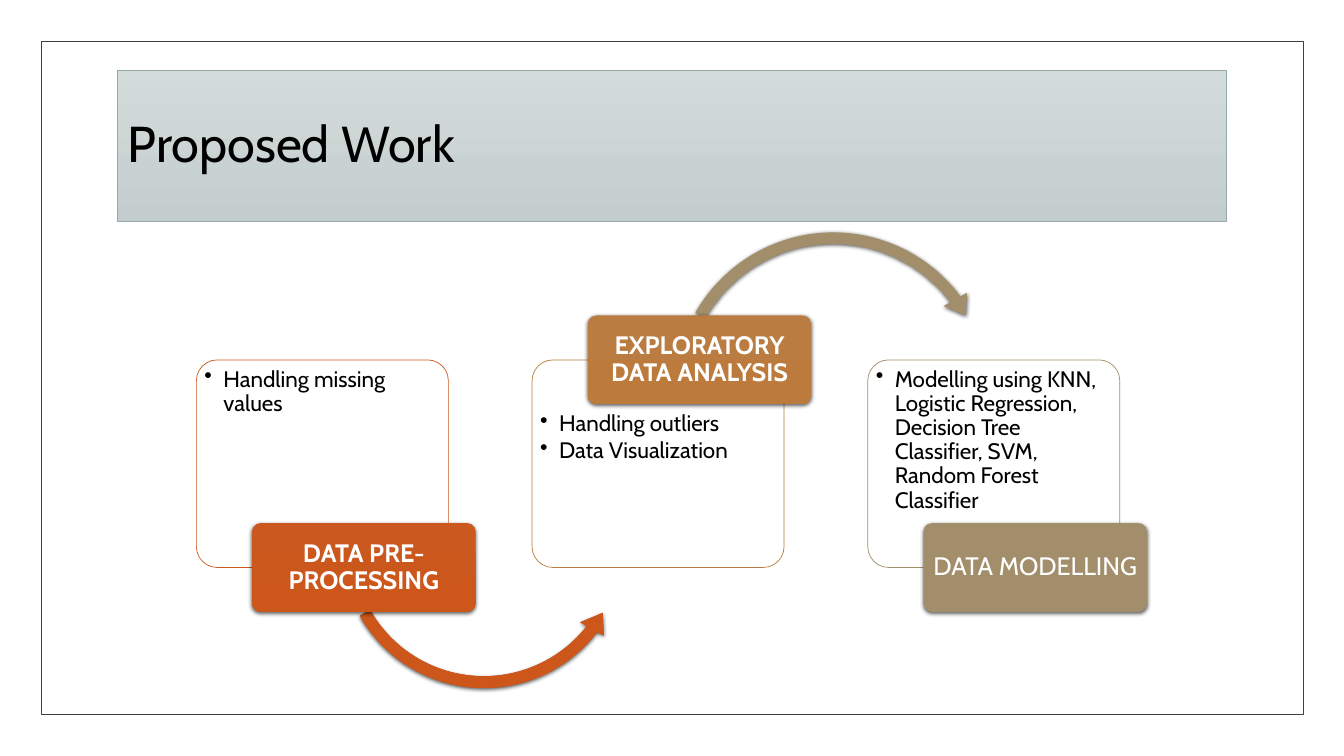
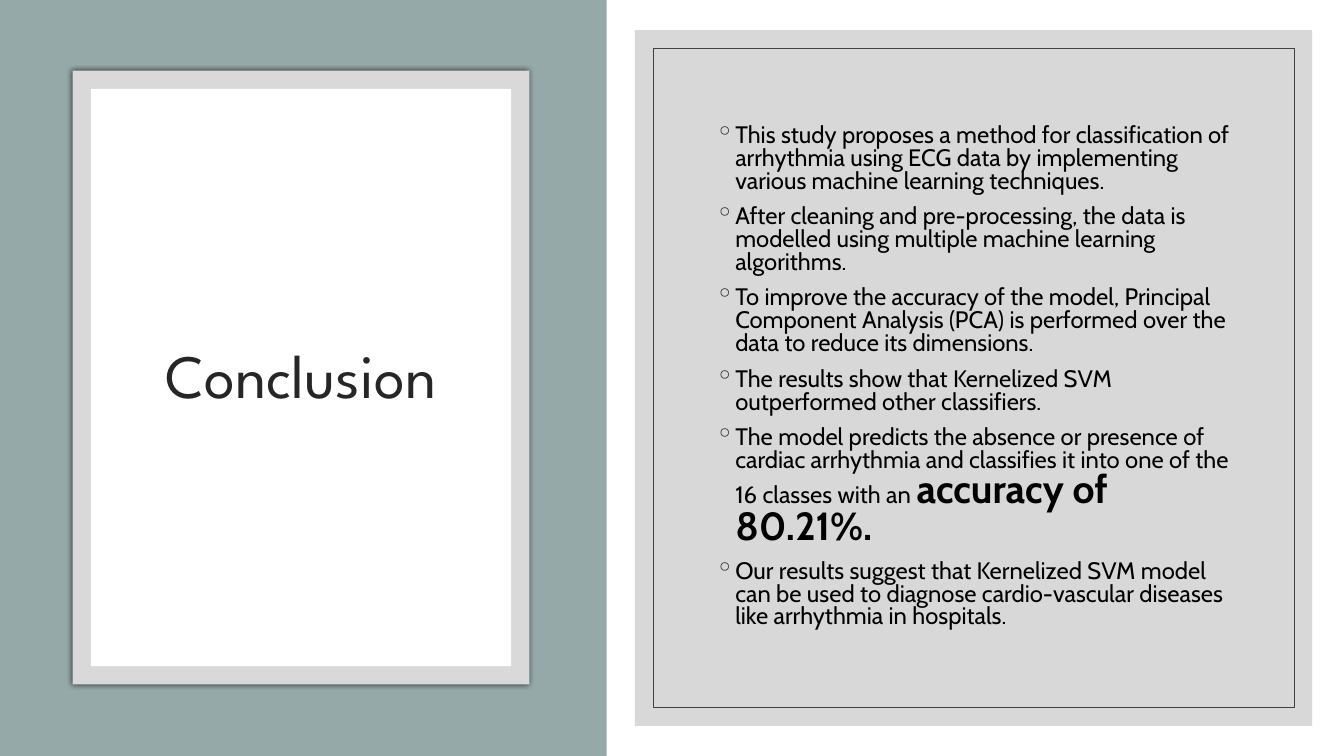
"""Build the Proposed Work process slide and the Conclusion slide."""
from lxml import etree
from pptx import Presentation
from pptx import util as u
from pptx.dml.color import RGBColor
from pptx.enum import shapes, text
from pptx.oxml import ns

BLACK = RGBColor(0x00, 0x00, 0x00)
WHITE = RGBColor(0xFF, 0xFF, 0xFF)
INK = RGBColor(0x26, 0x26, 0x26)
FRAME = RGBColor(0x40, 0x40, 0x40)
SAND = RGBColor(0xD8, 0xD0, 0xC0)
SAGE = RGBColor(0x96, 0xA9, 0xA9)
MIST = (RGBColor(0xD4, 0xDB, 0xDB), RGBColor(0xC3, 0xCD, 0xCD))
PALE = RGBColor(0xD9, 0xD9, 0xD9)
GREY = RGBColor(0xBF, 0xBF, 0xBF)
RUST = (RGBColor(0xCB, 0x58, 0x1F), RGBColor(0xCD, 0x56, 0x1A))
COPPER = (RGBColor(0xBA, 0x7C, 0x41), RGBColor(0xBC, 0x7B, 0x3D))
KHAKI = (RGBColor(0xA2, 0x8E, 0x6A), RGBColor(0xA2, 0x8D, 0x68))

BODY_FONT = "Cabin"
TITLE_FONT = "League Spartan"
WIDTH, HEIGHT = 33.87, 19.05
RECT = shapes.MSO_SHAPE.RECTANGLE
ROUNDED = shapes.MSO_SHAPE.ROUNDED_RECTANGLE
SOFT_SHADOW = dict(blur=3, distance=1)
HALO = dict(blur=4, distance=0)

STEPS = [
    dict(label="DATA PRE-PROCESSING", colors=RUST, on_top=False, bold=True,
         points=["Handling missing values"]),
    dict(label="EXPLORATORY DATA ANALYSIS", colors=COPPER, on_top=True, bold=True,
         points=["Handling outliers", "Data Visualization"]),
    dict(label="DATA MODELLING", colors=KHAKI, on_top=False, bold=False,
         points=["Modelling using KNN, Logistic Regression, Decision Tree "
                 "Classifier, SVM, Random Forest Classifier"]),
]
ARROWS = [
    dict(kind=shapes.MSO_SHAPE.LEFT_CIRCULAR_ARROW, box=(8.41, 9.96, 7.57, 7.57),
         colors=RUST, adjust=(0.039, 4.86, 22.615, 90.245, 0.045)),
    dict(kind=shapes.MSO_SHAPE.CIRCULAR_ARROW, box=(16.81, 5.66, 8.38, 8.38),
         colors=KHAKI, adjust=(0.035, 4.349, 193.896, 125.755, 0.041)),
]
CONCLUSIONS = [
    ["This study proposes a method for classification of arrhythmia using ECG data "
     "by implementing various machine learning techniques."],
    ["After cleaning and pre-processing, the data is modelled using multiple "
     "machine learning algorithms."],
    ["To improve the accuracy of the model, Principal Component Analysis (PCA) is "
     "performed over the data to reduce its dimensions."],
    ["The results show that Kernelized SVM outperformed other classifiers."],
    ["The model predicts the absence or presence of cardiac arrhythmia and "
     "classifies it into one of the 16 classes with an ", "accuracy of 80.21%."],
    ["Our results suggest that Kernelized SVM model can be used to diagnose "
     "cardio-vascular diseases like arrhythmia in hospitals."],
]


def add_element(parent, tag, **attributes):
    return etree.SubElement(parent, ns.qn(tag), {k: str(v) for k, v in attributes.items()})


def add_color(parent, color, opacity=None):
    element = add_element(parent, "a:srgbClr", val=color)
    if opacity is not None:
        add_element(element, "a:alpha", val=opacity * 1000)


def add_panel(slide, box, fill=None, line=None, kind=RECT, adjust=(), opacity=None,
              shadow=None):
    shape = slide.shapes.add_shape(kind, *map(u.Cm, box))
    for index, value in enumerate(adjust):
        shape.adjustments[index] = value
    if fill is None:
        shape.fill.background()
    elif isinstance(fill, RGBColor):
        shape.fill.solid()
        shape.fill.fore_color.rgb = fill
    else:
        shape.fill.gradient()
        shape.fill.gradient_angle = 270
        for stop, color in zip(shape.fill.gradient_stops, fill):
            stop.color.rgb = color
    properties = shape._element.spPr
    if opacity is not None:
        color = properties.find(ns.qn("a:solidFill")).find(ns.qn("a:srgbClr"))
        add_element(color, "a:alpha", val=opacity * 1000)
    if line is None:
        shape.line.fill.background()
    else:
        shape.line.color.rgb = line
        shape.line.width = u.Pt(0.5)
    shape.shadow.inherit = False
    if shadow:
        effects = properties.find(ns.qn("a:effectLst"))
        outer = add_element(effects, "a:outerShdw", blurRad=u.Pt(shadow["blur"]),
                            dist=u.Pt(shadow["distance"]), dir=5400000, rotWithShape=0)
        add_color(outer, BLACK, 65)
    return shape


def add_bullet(paragraph, character, indent, color):
    properties = paragraph._p.get_or_add_pPr()
    properties.set("marL", str(u.Cm(indent)))
    properties.set("indent", str(-u.Cm(indent)))
    add_color(add_element(properties, "a:buClr"), color)
    add_element(properties, "a:buChar", char=character)


def write(shape, paragraphs, size, color=BLACK, font=BODY_FONT, bold=False,
          align=text.PP_ALIGN.LEFT, anchor=text.MSO_ANCHOR.MIDDLE, spacing=0.9,
          before=0, after=0, margins=(0.25, 0.13, 0.25, 0.13), bullet=None,
          indent=0.5, bullet_color=BLACK, emphasis_size=28):
    """Write paragraphs, each a list of runs whose later runs are emphasised."""
    frame = shape.text_frame
    frame.word_wrap = True
    frame.vertical_anchor = anchor
    (frame.margin_left, frame.margin_top,
     frame.margin_right, frame.margin_bottom) = map(u.Cm, margins)
    for index, runs in enumerate(paragraphs):
        paragraph = frame.add_paragraph() if index else frame.paragraphs[0]
        paragraph.alignment = align
        paragraph.line_spacing = spacing
        paragraph.space_before = u.Pt(before)
        paragraph.space_after = u.Pt(after)
        if bullet:
            add_bullet(paragraph, bullet, indent, bullet_color)
        for position, words in enumerate(runs):
            run = paragraph.add_run()
            run.text = words
            run.font.name = font
            run.font.size = u.Pt(emphasis_size if position else size)
            run.font.bold = bold or position > 0
            run.font.color.rgb = color


def add_text(slide, box, paragraphs, **style):
    write(slide.shapes.add_textbox(*map(u.Cm, box)), paragraphs, **style)


def add_slide(presentation, background):
    slide = presentation.slides.add_slide(presentation.slide_layouts[6])
    slide.background.fill.solid()
    slide.background.fill.fore_color.rgb = background
    add_panel(slide, (0, 0, WIDTH, HEIGHT), WHITE)
    return slide


def add_step(slide, index, step, arrow):
    left, top, width, height = 4.95 + 8.46 * index, 9.07, 6.35, 5.23
    label_width, label_height = 5.64, 2.24
    edge = top if step["on_top"] else top + height
    pad = 0.05
    text_top = pad + (label_height / 2 if step["on_top"] else 0)
    card = add_panel(slide, (left, top, width, height), WHITE, step["colors"][0],
                     ROUNDED, adjust=[0.1], opacity=90)
    write(card, [[point] for point in step["points"]], size=16, after=2,
          anchor=text.MSO_ANCHOR.TOP, margins=(pad, text_top, pad, pad),
          bullet="•", indent=0.48)
    if arrow:
        add_panel(slide, arrow["box"], arrow["colors"], kind=arrow["kind"],
                  adjust=arrow["adjust"], shadow=SOFT_SHADOW)
    label = add_panel(slide, (left + 1.4, edge - label_height / 2, label_width, label_height),
                      step["colors"], kind=ROUNDED, adjust=[0.1], shadow=SOFT_SHADOW)
    write(label, [[step["label"]]], size=18, color=WHITE, bold=step["bold"],
          align=text.PP_ALIGN.CENTER, margins=(0.1, 0.07, 0.1, 0.07))


def build_proposed_work(presentation):
    slide = add_slide(presentation, SAND)
    add_panel(slide, (0.66, 0.66, 32.55, 17.73), WHITE, opacity=94)
    add_panel(slide, (1.04, 1.04, 31.8, 16.97), line=FRAME)
    band = add_panel(slide, (2.97, 1.78, 27.94, 3.81), MIST, SAGE)
    write(band, [["Proposed Work"]], size=36)
    for index, step in enumerate(STEPS):
        add_step(slide, index, step, ARROWS[index] if index < len(ARROWS) else None)


def build_conclusion(presentation):
    slide = add_slide(presentation, WHITE)
    add_panel(slide, (0, 0, 15.29, HEIGHT), SAGE)
    add_panel(slide, (1.83, 1.78, 11.51, 15.47), PALE, shadow=HALO)
    add_panel(slide, (2.29, 2.24, 10.59, 14.55), WHITE)
    add_text(slide, (2.74, 3.3, 9.7, 12.47), [["Conclusion"]], size=44, color=INK,
             font=TITLE_FONT, align=text.PP_ALIGN.CENTER)
    add_panel(slide, (16, 0.76, 17.07, 17.53), GREY, opacity=60)
    add_panel(slide, (16.46, 1.22, 16.15, 16.61), line=FRAME)
    add_text(slide, (17.78, 2.59, 13.54, 13.84), CONCLUSIONS, size=17, spacing=0.8,
             before=9, bullet="◦", bullet_color=INK)


presentation = Presentation()
presentation.slide_width = u.Cm(WIDTH)
presentation.slide_height = u.Cm(HEIGHT)
build_proposed_work(presentation)
build_conclusion(presentation)
presentation.save("out.pptx")
